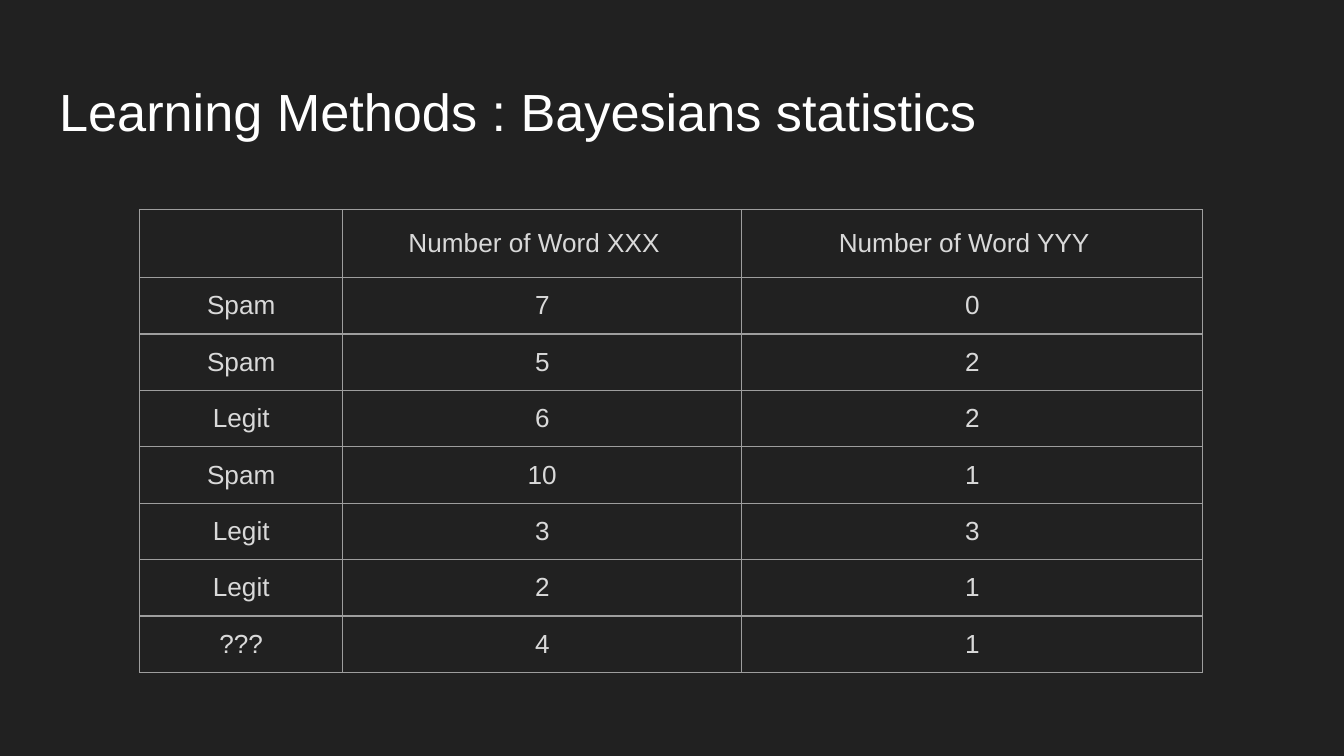
from dataclasses import dataclass

from lxml import etree
from pptx import Presentation, util as u
from pptx.dml.color import RGBColor
from pptx.enum import text
from pptx.oxml import ns


@dataclass(frozen=True)
class Theme:
    """Colours, type sizes and line widths of the deck."""
    font: str = "Arial"
    background: str = "212121"
    heading: str = "FFFFFF"
    body: str = "D9D9D9"
    rule: str = "9E9E9E"
    heading_size: float = 28
    body_size: float = 14
    rule_width: float = 0.75
    inset: float = 1
    header_right_inset: float = 2.2


def apply(target, values):
    """Set each attribute of the target from a dict of format values."""
    for name, value in values.items():
        setattr(target, name, value)


class SlideBuilder:
    """Draws on one slide with lengths in columns and rows of a square grid."""

    CELL = u.Inches(0.1)

    def __init__(self, theme, columns, rows):
        """Open a deck of the given grid size with one titled slide."""
        self.theme = theme
        self.deck = Presentation()
        apply(self.deck, {"slide_width": self.grid(columns), "slide_height": self.grid(rows)})
        self.slide = self.deck.slides.add_slide(self.deck.slide_layouts[5])
        backdrop = self.slide.background.fill
        backdrop.solid()
        backdrop.fore_color.rgb = RGBColor.from_string(theme.background)

    def grid(self, count):
        """Convert grid units to a length."""
        return u.Emu(round(count * self.CELL))

    def insets(self, right=None):
        """Give the margins shared by the title and the cells."""
        margin = self.grid(self.theme.inset)
        margins = {f"margin_{side}": margin for side in ("left", "top", "right", "bottom")}
        if right is not None:
            margins["margin_right"] = self.grid(right)
        return margins

    def add_wording(self, frame, wording, size, colour, align):
        """Put one formatted paragraph into a text frame."""
        paragraph = frame.paragraphs[0]
        paragraph.alignment = align
        run = paragraph.add_run()
        run.text = wording
        apply(run.font, {"name": self.theme.font, "size": u.Pt(size)})
        run.font.color.rgb = RGBColor.from_string(colour)

    def title(self, wording, left, top, width, height):
        """Place and fill the title placeholder."""
        heading = self.slide.shapes.title
        place = {"left": left, "top": top, "width": width, "height": height}
        apply(heading, {side: self.grid(count) for side, count in place.items()})
        apply(heading.text_frame, {
            **self.insets(), "word_wrap": True,
            "auto_size": text.MSO_AUTO_SIZE.NONE,
            "vertical_anchor": text.MSO_ANCHOR.TOP,
        })
        self.add_wording(heading.text_frame, wording, self.theme.heading_size,
                         self.theme.heading, text.PP_ALIGN.LEFT)

    def border(self, cell):
        """Rule all four sides of a cell."""
        properties = cell._tc.get_or_add_tcPr()
        for position, side in enumerate(("lnL", "lnR", "lnT", "lnB")):
            line = etree.Element(ns.qn(f"a:{side}"), w=str(u.Pt(self.theme.rule_width)))
            fill = etree.SubElement(line, ns.qn("a:solidFill"))
            etree.SubElement(fill, ns.qn("a:srgbClr"), val=self.theme.rule)
            properties.insert(position, line)

    def table(self, records, left, top, widths, row_height):
        """Add a ruled table with centred text and no banding."""
        frame = self.slide.shapes.add_table(
            len(records), len(widths), self.grid(left), self.grid(top),
            self.grid(sum(widths)), self.grid(row_height * len(records)))
        counts = frame.table
        apply(counts, {"first_row": False, "horz_banding": False})
        for column, width in zip(counts.columns, widths):
            column.width = self.grid(width)
        for index, (row, record) in enumerate(zip(counts.rows, records)):
            row.height = self.grid(row_height)
            right = self.theme.header_right_inset if index == 0 else None
            for cell, wording in zip(row.cells, record):
                apply(cell, {**self.insets(right), "vertical_anchor": text.MSO_ANCHOR.MIDDLE})
                cell.fill.background()
                self.border(cell)
                if wording:
                    self.add_wording(cell.text_frame, wording, self.theme.body_size,
                                     self.theme.body, text.PP_ALIGN.CENTER)


def main():
    """Build the word count slide."""
    word_counts = [
        ("", "Number of Word XXX", "Number of Word YYY"),
        ("Spam", "7", "0"),
        ("Spam", "5", "2"),
        ("Legit", "6", "2"),
        ("Spam", "10", "1"),
        ("Legit", "3", "3"),
        ("Legit", "2", "1"),
        ("???", "4", "1"),
    ]
    builder = SlideBuilder(Theme(), columns=100, rows=56.25)
    builder.title("Learning Methods : Bayesians statistics", 3.4, 4.9, 93.2, 6.3)
    builder.table(word_counts, left=10.4, top=15.6, widths=(15.1, 29.7, 34.3), row_height=4.2)
    builder.deck.save("out.pptx")


if __name__ == "__main__":
    main()
